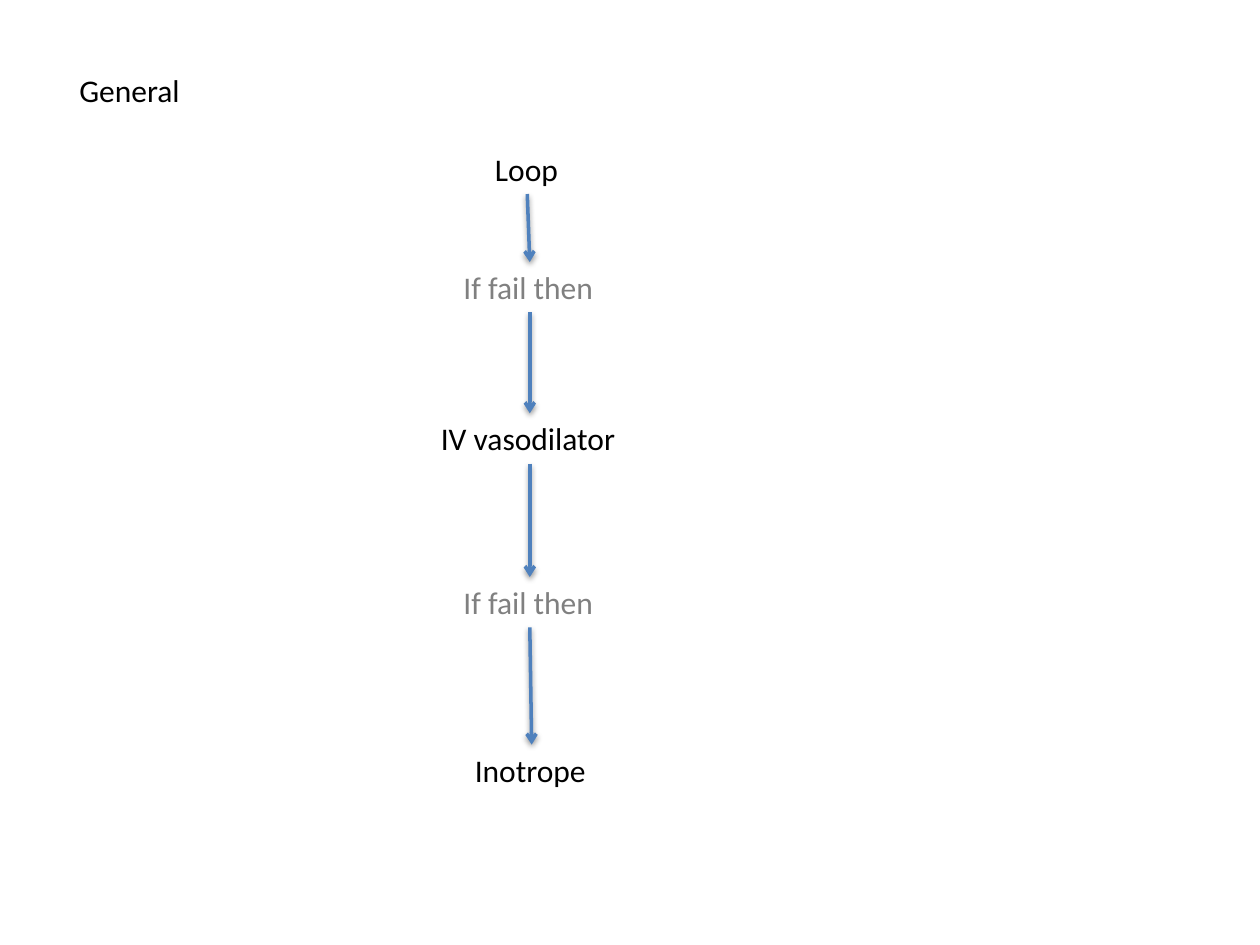
"""Build the General treatment flow slide."""
import pptx
import pptx.util
import pptx.dml.color
import pptx.enum.shapes
import pptx.enum.text
import pptx.oxml

Inches = pptx.util.Inches
HUES = {"text": "000000", "cond": "808080", "line": "4F81BD"}
HIGH = 0.4
HEAD = ("General", 0.53, 0.51, 1.01, "text")
STEPS = [
    ("Loop", 3.83, 1.14, 0.71, "text"),
    ("If fail then", 3.58, 2.08, 1.25, "cond"),
    ("IV vasodilator", 3.4, 3.28, 1.61, "text"),
    ("If fail then", 3.58, 4.58, 1.25, "cond"),
    ("Inotrope", 3.67, 5.91, 1.1, "text"),
]


def color(name):
    return pptx.dml.color.RGBColor.from_string(HUES[name])


def label(box, item):
    text, left, top, width, hue = item
    box.left, box.top = Inches(left), Inches(top)
    box.width, box.height = Inches(width), Inches(HIGH)
    frame = box.text_frame
    frame.text = text
    frame.word_wrap = False
    frame.auto_size = pptx.enum.text.MSO_AUTO_SIZE.SHAPE_TO_FIT_TEXT
    frame.vertical_anchor = pptx.enum.text.MSO_ANCHOR.TOP
    para = frame.paragraphs[0]
    para.alignment = pptx.enum.text.PP_ALIGN.LEFT
    font = para.runs[0].font
    font.name, font.size = "Calibri", pptx.util.Pt(18)
    font.color.rgb = color(hue)
    return box


def arrow(shapes, start, end):
    kind = pptx.enum.shapes.MSO_CONNECTOR.STRAIGHT
    link = shapes.add_connector(kind, 0, 0, 0, 0)
    link.begin_connect(start, 2)
    link.end_connect(end, 0)
    link.line.color.rgb = color("line")
    link.line.width = pptx.util.Pt(2)
    tail = pptx.oxml.parse_xml(
        '<a:tailEnd xmlns:a="http://schemas.openxmlformats.org/'
        'drawingml/2006/main" type="arrow"/>')
    link.line._get_or_add_ln().append(tail)


def main():
    deck = pptx.Presentation()
    deck.slide_width, deck.slide_height = Inches(10), Inches(7.5)
    slide = deck.slides.add_slide(deck.slide_layouts[5])
    shapes = slide.shapes
    label(shapes.title, HEAD)
    boxes = [label(shapes.add_textbox(0, 0, 0, 0), step) for step in STEPS]
    for start, end in zip(boxes, boxes[1:]):
        arrow(shapes, start, end)
    deck.save("out.pptx")


if __name__ == "__main__":
    main()
